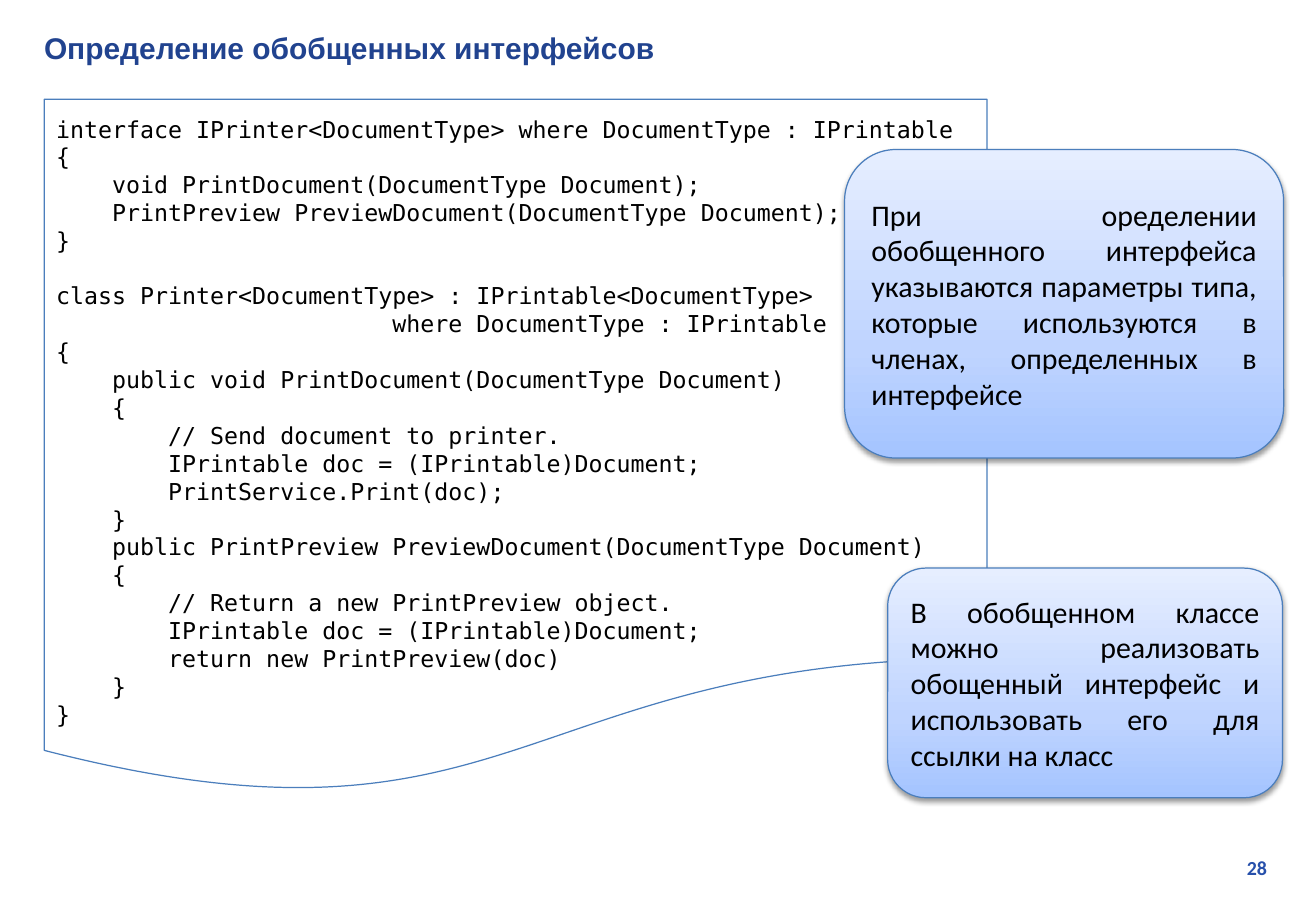
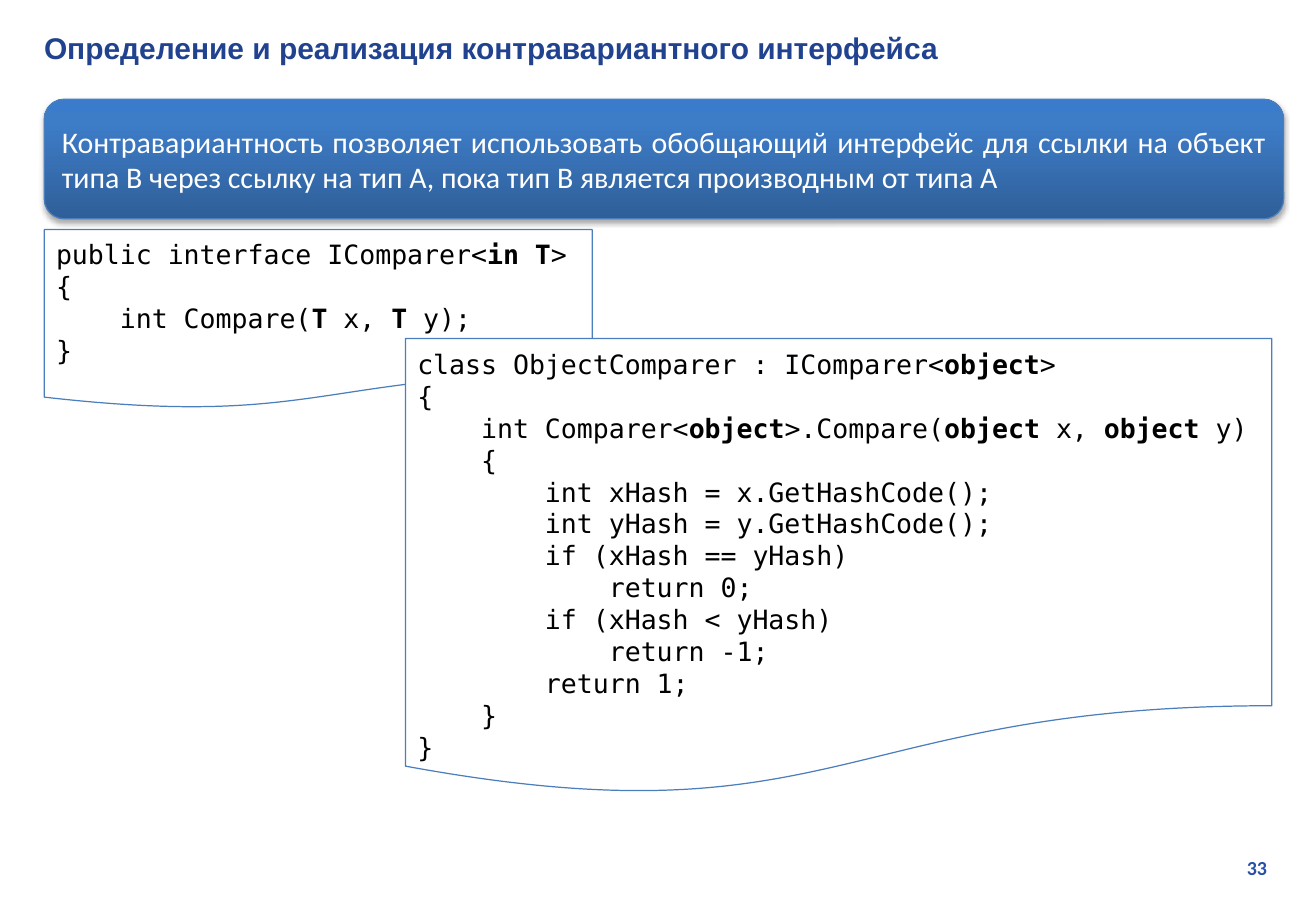
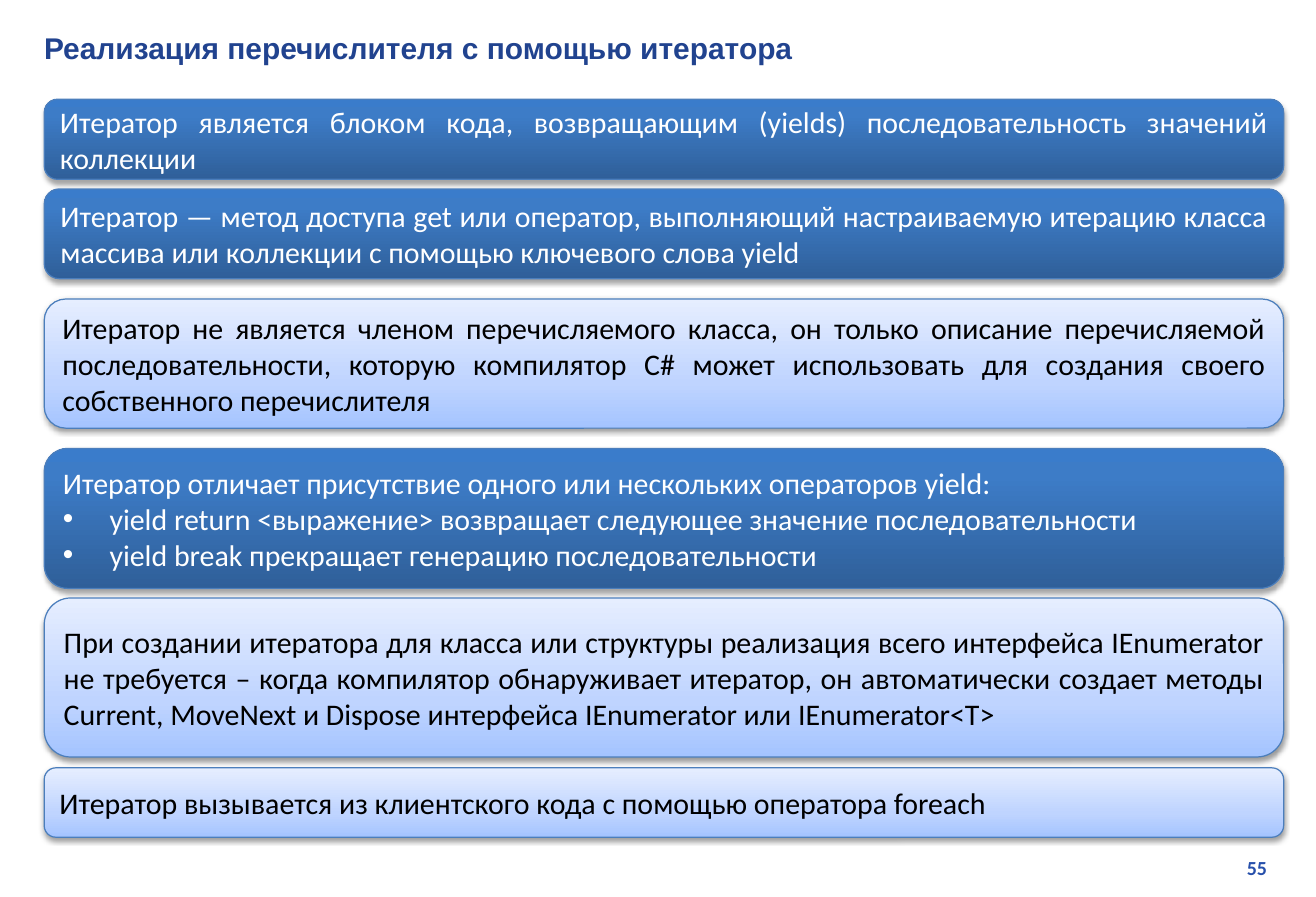
from lxml import etree
from pptx import Presentation
from pptx.dml.color import RGBColor
from pptx.enum.shapes import MSO_SHAPE
from pptx.enum.text import MSO_ANCHOR, PP_ALIGN
from pptx.oxml.ns import qn
from pptx.util import Inches, Pt

DOCUMENT = MSO_SHAPE.FLOWCHART_DOCUMENT
ROUNDED = MSO_SHAPE.ROUNDED_RECTANGLE
TOP, MIDDLE = MSO_ANCHOR.TOP, MSO_ANCHOR.MIDDLE
LEFT, RIGHT, JUSTIFY = PP_ALIGN.LEFT, PP_ALIGN.RIGHT, PP_ALIGN.JUSTIFY

SANS, HEADING, MONO = "Calibri", "Arial", "DejaVu Sans Mono"
TITLE_COLOR, NUMBER_COLOR, LINE_COLOR = "21438F", "2750AB", "4B7EBC"
BLACK, WHITE = "000000", "FFFFFF"
MARGIN, FULL_WIDTH = 0.37, 10.36
CODE_LINE = 1.164  # line height of the code font, in ems
BULLET, BULLET_INDENT = "• ", 0.39

# gradient stops run from the bottom edge to the top edge
STYLES = {
    "dark": {"stops": [(0, "2F5F99"), (80, "3D7CC7"), (100, "3A7CCB")],
             "text": WHITE, "shadow": (35, 1.8)},
    "light": {"stops": [(0, "A4C4FF"), (35, "BFD4FF"), (100, "E6EEFF")],
              "text": BLACK, "shadow": (38, 1.6)},
}

PRINTER_CODE = """\
interface IPrinter<DocumentType> where DocumentType : IPrintable
{
    void PrintDocument(DocumentType Document);
    PrintPreview PreviewDocument(DocumentType Document);
}

class Printer<DocumentType> : IPrintable<DocumentType>
                        where DocumentType : IPrintable
{
    public void PrintDocument(DocumentType Document)
    {
        // Send document to printer.
        IPrintable doc = (IPrintable)Document;
        PrintService.Print(doc);
    }
    public PrintPreview PreviewDocument(DocumentType Document)
    {
        // Return a new PrintPreview object.
        IPrintable doc = (IPrintable)Document;
        return new PrintPreview(doc)
    }
}"""

# ** switches bold on and off
COMPARER_INTERFACE = """\
public interface IComparer<**in T**>
{
    int Compare(**T** x, **T** y);
}"""

COMPARER_CLASS = """\
class ObjectComparer : IComparer<**object**>
{
    int Comparer<**object**>.Compare(**object **x, **object **y)
    {
        int xHash = x.GetHashCode();
        int yHash = y.GetHashCode();
        if (xHash == yHash)
            return 0;
        if (xHash < yHash)
            return -1;
        return 1;
    }
}"""

# code: (text, place, size, top inset); notes: (style, place, paragraphs)
PAGES = [
    {"title": "Определение обобщенных интерфейсов", "number": 28,
     "code": [(PRINTER_CODE, (MARGIN, 0.83, 7.88, 5.83), 14, 0.13)],
     "notes": [
         ("light", (7.42, 4.75, 3.3, 1.92),
          ["В обобщенном классе можно реализовать обощенный интерфейс и "
           "использовать его для ссылки на класс"]),
         ("light", (7.06, 1.25, 3.67, 2.58),
          ["При оределении обобщенного интерфейса указываются параметры типа, "
           "которые используются в членах, определенных в интерфейсе"])]},
    {"title": "Определение и реализация контравариантного интерфейса", "number": 33,
     "code": [(COMPARER_INTERFACE, (MARGIN, 1.92, 4.58, 1.5), 16, 0.07),
              (COMPARER_CLASS, (3.39, 2.83, 7.24, 3.83), 16, 0.08)],
     "notes": [
         ("dark", (MARGIN, 0.83, FULL_WIDTH, 1),
          ["Контравариантность позволяет использовать обобщающий интерфейс для "
           "ссылки на объект типа B через ссылку на тип A, пока тип B является "
           "производным от типа A"])]},
    {"title": "Реализация перечислителя с помощью итератора", "number": 55,
     "code": [],
     "notes": [
         ("dark", (MARGIN, 0.83, FULL_WIDTH, 0.67),
          ["Итератор является блоком кода, возвращающим (yields) "
           "последовательность значений коллекции"]),
         ("dark", (MARGIN, 1.58, FULL_WIDTH, 0.75),
          ["Итератор — метод доступа get или оператор, выполняющий настраиваемую "
           "итерацию класса массива или коллекции с помощью ключевого слова yield"]),
         ("light", (MARGIN, 2.5, FULL_WIDTH, 1.08),
          ["Итератор не является членом перечисляемого класса, он только описание "
           "перечисляемой последовательности, которую компилятор C# может "
           "использовать для создания своего собственного перечислителя"]),
         ("dark", (MARGIN, 3.75, FULL_WIDTH, 1.17),
          ["Итератор отличает присутствие одного или нескольких операторов yield:",
           BULLET + "yield return <выражение> возвращает следующее значение "
           "последовательности",
           BULLET + "yield break прекращает генерацию последовательности"]),
         ("light", (MARGIN, 5, FULL_WIDTH, 1.33),
          ["При создании итератора для класса или структуры реализация всего "
           "интерфейса IEnumerator не требуется – когда компилятор обнаруживает "
           "итератор, он автоматически создает методы Current, MoveNext и Dispose "
           "интерфейса IEnumerator или IEnumerator<T>"]),
         ("light", (MARGIN, 6.42, FULL_WIDTH, 0.58),
          ["Итератор вызывается из клиентского кода с помощью оператора foreach"])]},
]


def rgb(color):
    return RGBColor.from_string(color)


def add_xml(parent, tag, **attributes):
    values = {name: str(value) for name, value in attributes.items()}
    return etree.SubElement(parent, qn(tag), values)


def write(frame, text, size, color, font=SANS, align=LEFT, anchor=MIDDLE,
          bold=False, line_gap=0):
    """Write one paragraph per line; an empty line becomes a gap of line_gap points."""
    frame.word_wrap = True
    frame.vertical_anchor = anchor
    para = frame.paragraphs[0]
    for block_index, block in enumerate(text.split("\n\n")):
        for line_index, line in enumerate(block.split("\n")):
            if block_index or line_index:
                para = frame.add_paragraph()
            if block_index and not line_index:
                para.space_before = Pt(line_gap)
            para.alignment = align
            if line.startswith(BULLET):
                line = line.removeprefix(BULLET)
                properties = para._p.get_or_add_pPr()
                properties.set("marL", str(Inches(BULLET_INDENT)))
                properties.set("indent", str(-Inches(BULLET_INDENT)))
                add_xml(properties, "a:buFont", typeface=HEADING)
                add_xml(properties, "a:buChar", char=BULLET.strip())
            for part_index, part in enumerate(line.split("**")):
                if part:
                    span = para.add_run()
                    span.text = part
                    span.font.name = font
                    span.font.size = Pt(size)
                    span.font.bold = bold or part_index % 2 == 1
                    span.font.color.rgb = rgb(color)


def add_text(page, place, text, **style):
    box = page.shapes.add_textbox(*map(Inches, place))
    write(box.text_frame, text, **style)


def add_outlined(page, kind, place):
    shape = page.shapes.add_shape(kind, *map(Inches, place))
    shape.shadow.inherit = False
    shape.line.color.rgb = rgb(LINE_COLOR)
    shape.line.width = Pt(0.75)
    return shape


def add_code(page, text, place, size, inset):
    sheet = add_outlined(page, DOCUMENT, place)
    sheet.fill.solid()
    sheet.fill.fore_color.rgb = rgb(WHITE)
    sheet.text_frame.margin_top = Inches(inset)
    sheet.text_frame.margin_bottom = 0
    write(sheet.text_frame, text, size, BLACK, font=MONO, anchor=TOP,
          line_gap=size * CODE_LINE)


def add_note(page, style_name, place, lines):
    style = STYLES[style_name]
    note = add_outlined(page, ROUNDED, place)
    note.fill.gradient()
    note.fill.gradient_angle = 90
    properties = note._element.spPr
    stops = properties.find(".//" + qn("a:gsLst"))
    for stop in list(stops):
        stops.remove(stop)
    for position, color in style["stops"]:
        stop = add_xml(stops, "a:gs", pos=position * 1000)
        add_xml(stop, "a:srgbClr", val=color)
    opacity, distance = style["shadow"]
    shadow = add_xml(properties.find(qn("a:effectLst")), "a:outerShdw",
                     blurRad=Pt(3.1), dist=Pt(distance), dir=90 * 60000,
                     rotWithShape=0)
    shade = add_xml(shadow, "a:srgbClr", val=BLACK)
    add_xml(shade, "a:alpha", val=opacity * 1000)
    write(note.text_frame, "\n".join(lines), 18, style["text"], align=JUSTIFY)


def main():
    deck = Presentation()
    deck.slide_width, deck.slide_height = Inches(11), Inches(7.5)
    for content in PAGES:
        page = deck.slides.add_slide(deck.slide_layouts[6])
        add_text(page, (8.36, 7.1, 2.33, 0.3), str(content["number"]), size=12,
                 color=NUMBER_COLOR, align=RIGHT, bold=True)
        add_text(page, (0.27, 0.2, 10.5, 0.4), content["title"], size=18,
                 color=TITLE_COLOR, font=HEADING, bold=True)
        for code in content["code"]:
            add_code(page, *code)
        for note in content["notes"]:
            add_note(page, *note)
    deck.save("out.pptx")


if __name__ == "__main__":
    main()
